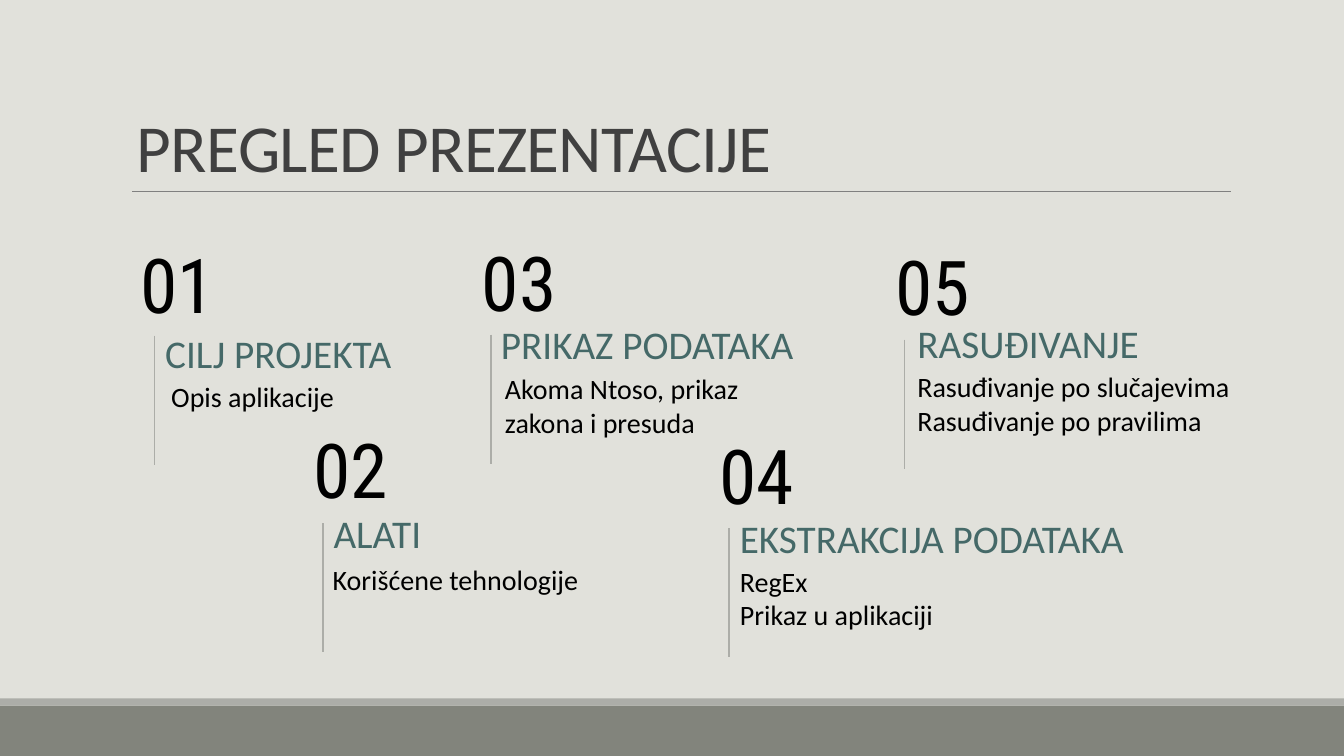
from dataclasses import dataclass

from lxml.etree import SubElement
from pptx import Presentation
from pptx.dml.color import RGBColor
from pptx.enum.shapes import MSO_CONNECTOR as Connector, MSO_SHAPE as Preset
from pptx.enum.text import MSO_ANCHOR as Anchor, MSO_AUTO_SIZE as AutoSize
from pptx.oxml.ns import qn
from pptx.slide import Slide
from pptx.text.text import _Run as Run
from pptx.util import Inches, Pt

BACKGROUND = RGBColor(0xE1, 0xE1, 0xDB)
FOOTER = RGBColor(0x82, 0x84, 0x7C)
ACCENT = RGBColor(0xAC, 0xAD, 0xA8)
RULE = RGBColor(0x80, 0x80, 0x80)
TITLE = RGBColor(0x40, 0x40, 0x40)
HEADING = RGBColor(0x45, 0x69, 0x68)
BLACK = RGBColor(0, 0, 0)

SLIDE_WIDTH = 13.33
RULE_HEIGHT = 1.28


@dataclass(frozen=True)
class Box:
    left: float
    top: float
    width: float
    height: float


@dataclass(frozen=True)
class TextStyle:
    size: float
    color: RGBColor
    font: str = "Calibri"


@dataclass(frozen=True)
class Topic:
    number: str
    number_box: Box
    heading: str
    heading_box: Box
    details: tuple[str, ...]
    details_box: Box
    rule_left: float
    rule_top: float
    rule_weight: float = 1.25


TITLE_STYLE = TextStyle(48, TITLE)
NUMBER_STYLE = TextStyle(54, BLACK, "Roboto Condensed")
HEADING_STYLE = TextStyle(28, HEADING)
DETAIL_STYLE = TextStyle(20, BLACK)

TOPICS = (
    Topic("01", Box(1.29, 2.31, 1.31, 1.01),
          "CILJ PROJEKTA", Box(1.54, 3.22, 2.85, 0.57),
          ("Opis aplikacije",), Box(1.6, 3.72, 2, 0.44), 1.53, 3.33, 1),
    Topic("02", Box(3.01, 4.15, 0.94, 1.01),
          "ALATI", Box(3.21, 5, 1.57, 0.57),
          ("Korišćene tehnologije",), Box(3.2, 5.53, 2.66, 0.44), 3.2, 5.19),
    Topic("03", Box(4.68, 2.29, 0.94, 1.01),
          "PRIKAZ PODATAKA", Box(4.87, 3.13, 3.28, 0.57),
          ("Akoma Ntoso, prikaz zakona i presuda",), Box(4.91, 3.64, 2.64, 0.77),
          4.87, 3.32),
    Topic("04", Box(7.04, 4.21, 0.94, 1.01),
          "EKSTRAKCIJA PODATAKA", Box(7.24, 5.05, 4.17, 0.57),
          ("RegEx", "Prikaz u aplikaciji"), Box(7.24, 5.55, 3.66, 0.77), 7.23, 5.24),
    Topic("05", Box(8.78, 2.33, 0.94, 1.01),
          "RASUĐIVANJE", Box(9, 3.12, 2.49, 0.57),
          ("Rasuđivanje po slučajevima", "Rasuđivanje po pravilima"),
          Box(9, 3.62, 3.66, 0.77), 8.97, 3.37),
)


def add_band(slide: Slide, top: float, height: float, color: RGBColor) -> None:
    shape = slide.shapes.add_shape(
        Preset.RECTANGLE, 0, Inches(top), Inches(SLIDE_WIDTH), Inches(height))
    shape.shadow.inherit = False
    shape.fill.solid()
    shape.fill.fore_color.rgb = color
    shape.line.fill.background()


def add_line(slide: Slide, left: float, top: float, right: float, bottom: float,
             color: RGBColor, weight: float) -> None:
    connector = slide.shapes.add_connector(
        Connector.STRAIGHT, Inches(left), Inches(top), Inches(right), Inches(bottom))
    connector.line.color.rgb = color
    connector.line.width = Pt(weight)
    SubElement(connector._element.spPr, qn("a:effectLst"))


def add_text(slide: Slide, box: Box, lines: tuple[str, ...], style: TextStyle) -> list[Run]:
    shape = slide.shapes.add_textbox(
        Inches(box.left), Inches(box.top), Inches(box.width), Inches(box.height))
    frame = shape.text_frame
    frame.word_wrap = True
    frame.auto_size = AutoSize.SHAPE_TO_FIT_TEXT
    runs = []
    for index, line in enumerate(lines):
        paragraph = frame.add_paragraph() if index else frame.paragraphs[0]
        run = paragraph.add_run()
        run.text = line
        run.font.name = style.font
        run.font.size = Pt(style.size)
        run.font.color.rgb = style.color
        runs.append(run)
    return runs


def add_title(slide: Slide, text: str) -> None:
    [run] = add_text(slide, Box(1.26, 0.73, 10.5, 1.17), (text,), TITLE_STYLE)
    run._r.get_or_add_rPr().set("spc", "-50")
    frame = slide.shapes[-1].text_frame
    frame.auto_size = AutoSize.NONE
    frame.vertical_anchor = Anchor.BOTTOM
    frame.paragraphs[0].line_spacing = 0.85


def add_topic(slide: Slide, topic: Topic) -> None:
    add_text(slide, topic.number_box, (topic.number,), NUMBER_STYLE)
    add_line(slide, topic.rule_left, topic.rule_top, topic.rule_left,
             topic.rule_top + RULE_HEIGHT, ACCENT, topic.rule_weight)
    add_text(slide, topic.heading_box, (topic.heading,), HEADING_STYLE)
    add_text(slide, topic.details_box, topic.details, DETAIL_STYLE)


def main() -> None:
    presentation = Presentation()
    presentation.slide_width = Inches(SLIDE_WIDTH)
    presentation.slide_height = Inches(7.5)
    slide = presentation.slides.add_slide(presentation.slide_layouts[6])
    slide.background.fill.solid()
    slide.background.fill.fore_color.rgb = BACKGROUND
    add_band(slide, 7, 0.5, FOOTER)
    add_band(slide, 6.93, 0.07, ACCENT)
    add_line(slide, 1.31, 1.9, 12.21, 1.9, RULE, 0.5)
    add_title(slide, "PREGLED PREZENTACIJE")
    for topic in TOPICS:
        add_topic(slide, topic)
    presentation.save("out.pptx")


if __name__ == "__main__":
    main()
